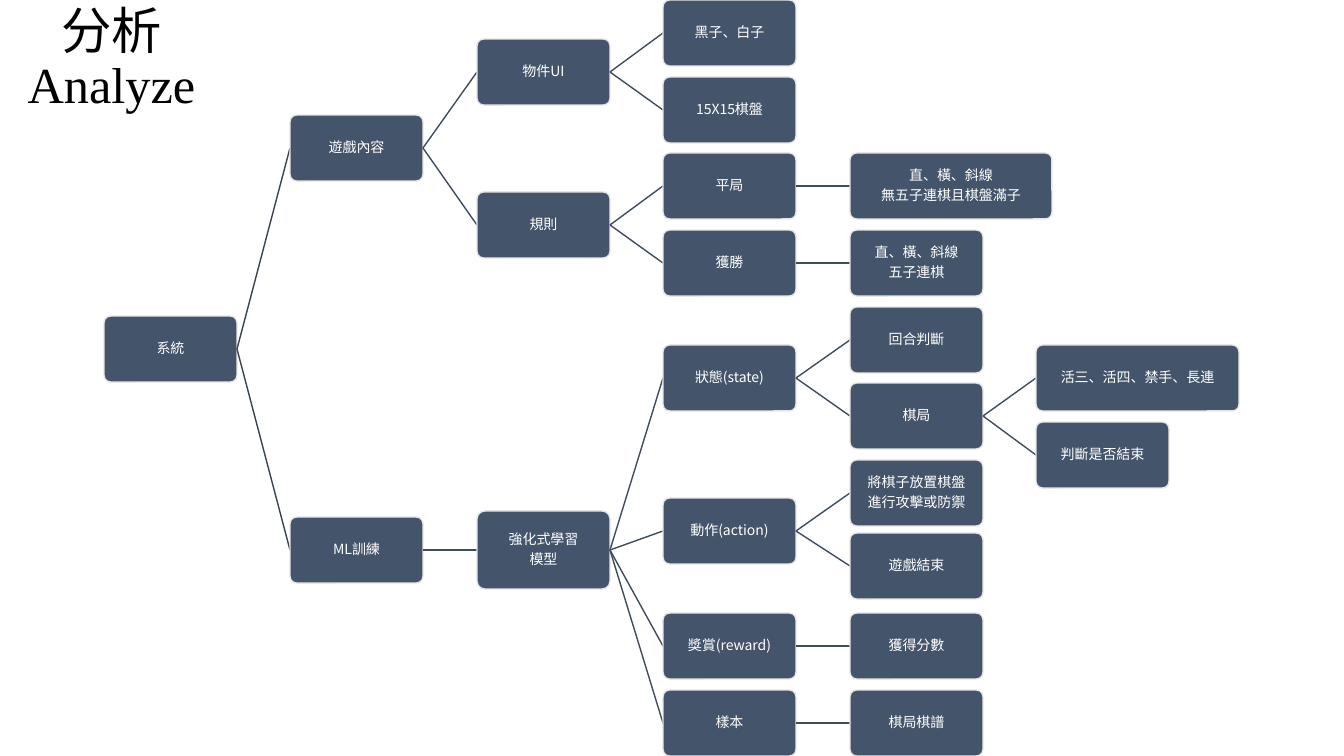
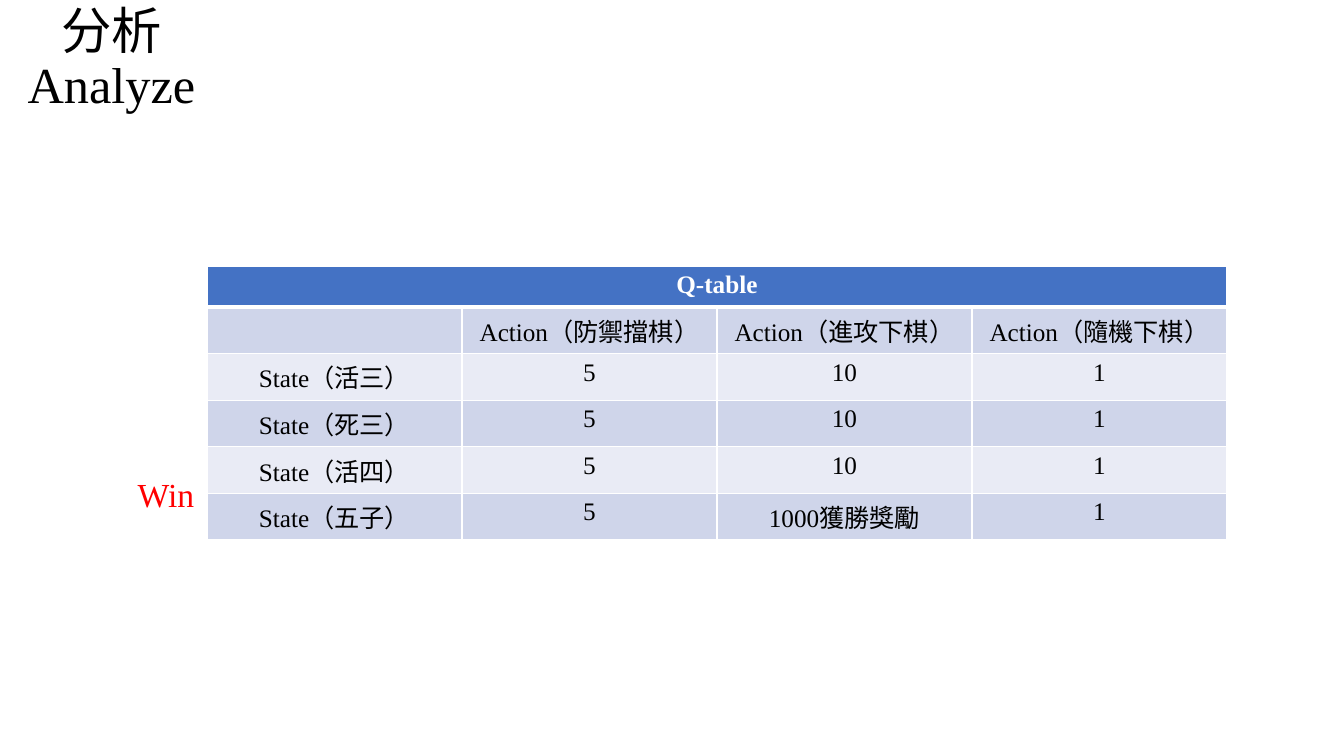
from dataclasses import dataclass
from lxml import etree
from pptx import Presentation
from pptx import util as u
from pptx.dml.color import RGBColor
from pptx.enum import shapes, text
from pptx.oxml.ns import qn

SCALE = 914400 / 100.8
COLORS = {
    "black": "000000", "white": "FFFFFF", "red": "FF0000",
    "box": "44546A", "box_edge": "E7E6E6",
    "root_branch": "364355", "branch": "3E4C60",
    "header": "4472C4", "band_dark": "CFD5EA", "band_light": "E9EBF5",
}
SERIF = "Times New Roman"
SANS = "Noto Sans CJK SC"
BOX_W, BOX_H = 133, 66
TREE_LEFT, LEVEL_STEP = 104, 186.4
FIRST_ROW, ROW_STEP = 33.3, 76.6


def px(n):
    return u.Emu(round(n * SCALE))


def rgb(name):
    return RGBColor.from_string(COLORS[name])


@dataclass
class Node:
    label: str
    row: float = 0
    children: tuple = ()
    width: int = BOX_W
    height: int = BOX_H
    shift: int = 0

    def slot(self):
        if self.row or not self.children:
            return self.row
        return (self.children[0].slot() + self.children[-1].slot()) / 2

    def center(self):
        return round(FIRST_ROW + ROW_STEP * self.slot()) + self.shift


class Deck:
    def __init__(self):
        self.prs = Presentation()
        self.prs.slide_width, self.prs.slide_height = px(1344), px(756)
        self.s = None

    def slide(self, title):
        self.s = self.prs.slides.add_slide(self.prs.slide_layouts[5])
        sp = self.s.shapes.title
        sp.left, sp.top, sp.width, sp.height = px(0), px(0), px(223), px(120)
        tf = sp.text_frame
        tf.auto_size = text.MSO_AUTO_SIZE.NONE
        tf.vertical_anchor = text.MSO_ANCHOR.MIDDLE
        self.put_text(tf, title, 36, "black", spacing=0.9)

    def put_text(self, tf, words, size, color, font=SERIF, bold=False, spacing=None, after=None):
        tf.text = words
        for p in tf.paragraphs:
            p.alignment = text.PP_ALIGN.CENTER
            p.line_spacing = spacing
            p.space_after = after
            p.font.size = u.Pt(size)
            p.font.bold = bold
            p.font.color.rgb = rgb(color)
            p.font.name = font
            if font == SANS:
                props = p._p.pPr.find(qn("a:defRPr"))
                etree.SubElement(props, qn("a:ea"), typeface=font)

    def box(self, x, y, w, h, words):
        sp = self.s.shapes.add_shape(shapes.MSO_SHAPE.ROUNDED_RECTANGLE, px(x), px(y), px(w), px(h))
        sp.adjustments[0] = 0.1
        sp.shadow.inherit = False
        sp.fill.solid()
        sp.fill.fore_color.rgb = rgb("box")
        sp.line.color.rgb = rgb("box_edge")
        sp.line.width = u.Pt(1)
        tf = sp.text_frame
        tf.word_wrap = True
        tf.vertical_anchor = text.MSO_ANCHOR.MIDDLE
        tf.margin_left = tf.margin_right = tf.margin_top = tf.margin_bottom = px(3)
        self.put_text(tf, words, 10, "white", SANS, spacing=0.9, after=u.Pt(3.5))

    def line(self, x1, y1, x2, y2, color):
        c = self.s.shapes.add_connector(shapes.MSO_CONNECTOR.STRAIGHT, px(x1), px(y1), px(x2), px(y2))
        c.line.color.rgb = rgb(color)
        c.line.width = u.Pt(1)
        etree.SubElement(c._element.spPr, qn("a:effectLst"))

    def tree(self, node, level=0):
        x, y = round(TREE_LEFT + LEVEL_STEP * level), node.center()
        self.box(x, y - node.height // 2, node.width, node.height, node.label)
        for child in node.children:
            child_x = round(TREE_LEFT + LEVEL_STEP * (level + 1))
            color = "branch" if level else "root_branch"
            self.line(x + node.width, y, child_x, child.center(), color)
            self.tree(child, level + 1)

    def border(self, cell, side, points):
        ln = etree.SubElement(cell._tc.get_or_add_tcPr(), qn("a:ln" + side), w=str(u.Pt(points)))
        fill = etree.SubElement(ln, qn("a:solidFill"))
        etree.SubElement(fill, qn("a:srgbClr"), val=COLORS["white"])

    def table(self, x, y, col_w, row_h, title, rows):
        cols = len(rows[0])
        grid = [[title] + [""] * (cols - 1)] + rows
        frame = self.s.shapes.add_table(len(grid), cols, px(x), px(y), px(col_w * cols), px(row_h * len(grid)))
        table = frame.table
        for i, values in enumerate(grid):
            table.rows[i].height = px(row_h)
            fill = "header" if i == 0 else "band_dark" if i % 2 else "band_light"
            for j, value in enumerate(values):
                cell = table.cell(i, j)
                for side in "LRTB":
                    heavy = (i, side) in ((0, "B"), (1, "T"))
                    self.border(cell, side, 3 if heavy else 1)
                cell.fill.solid()
                cell.fill.fore_color.rgb = rgb(fill)
                self.put_text(cell.text_frame, value, 18, "black" if i else "white", bold=i == 0)
        table.cell(0, 0).merge(table.cell(0, cols - 1))

    def label(self, x, y, w, h, words, size, color):
        tf = self.s.shapes.add_textbox(px(x), px(y), px(w), px(h)).text_frame
        tf.word_wrap = True
        self.put_text(tf, words, size, color)


game = Node("遊戲內容", children=(
    Node("物件UI", children=(Node("黑子、白子", 0), Node("15X15棋盤", 1))),
    Node("規則", children=(
        Node("平局", children=(Node("直、橫、斜線\n無五子連棋且棋盤滿子", 2, width=202),)),
        Node("獲勝", children=(Node("直、橫、斜線\n五子連棋", 3),)),
    )),
))
state = Node("狀態(state)", children=(
    Node("回合判斷", 4),
    Node("棋局", children=(
        Node("活三、活四、禁手、長連", 4.5, width=203),
        Node("判斷是否結束", 5.5),
    )),
))
action = Node("動作(action)", children=(
    Node("將棋子放置棋盤\n進行攻擊或防禦", 6),
    Node("遊戲結束", 7, shift=-3),
))
reward = Node("獎賞(reward)", children=(Node("獲得分數", 8),))
sample = Node("樣本", children=(Node("棋局棋譜", 9),))
model = Node("強化式學習\n模型", children=(state, action, reward, sample), height=78)
system = Node("系統", children=(game, Node("ML訓練", children=(model,))))

TITLE = "分析\vAnalyze"
deck = Deck()
deck.slide(TITLE)
deck.tree(system)

deck.slide(TITLE)
actions = [""] + [f"Action（{name}）" for name in ("防禦擋棋", "進攻下棋", "隨機下棋")]
win_rewards = {"五子": "1000獲勝獎勵"}
states = [[f"State（{name}）", "5", win_rewards.get(name, "10"), "1"]
          for name in ("活三", "死三", "活四", "五子")]
deck.table(207, 266, 255, 41, "Q-table", [actions] + states)
deck.label(125, 469, 82, 50, "Win", 24, "red")
deck.prs.save("out.pptx")
